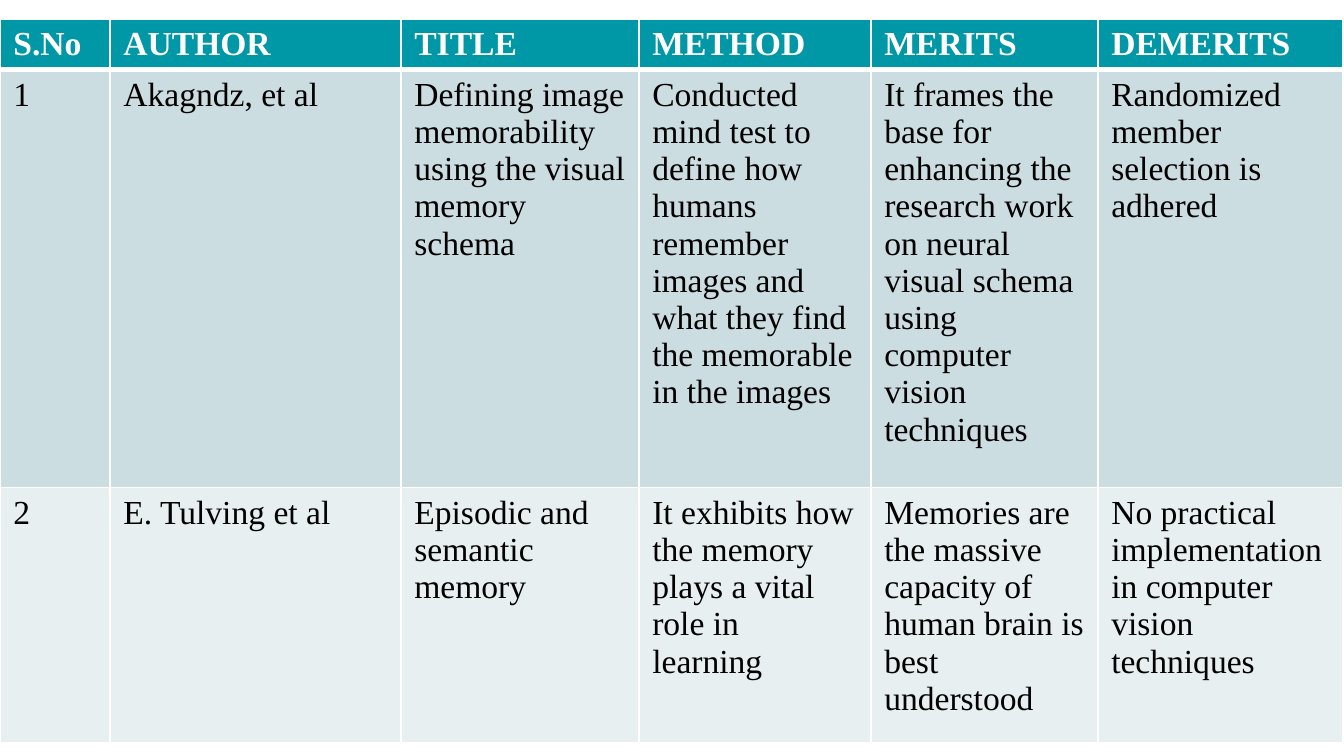
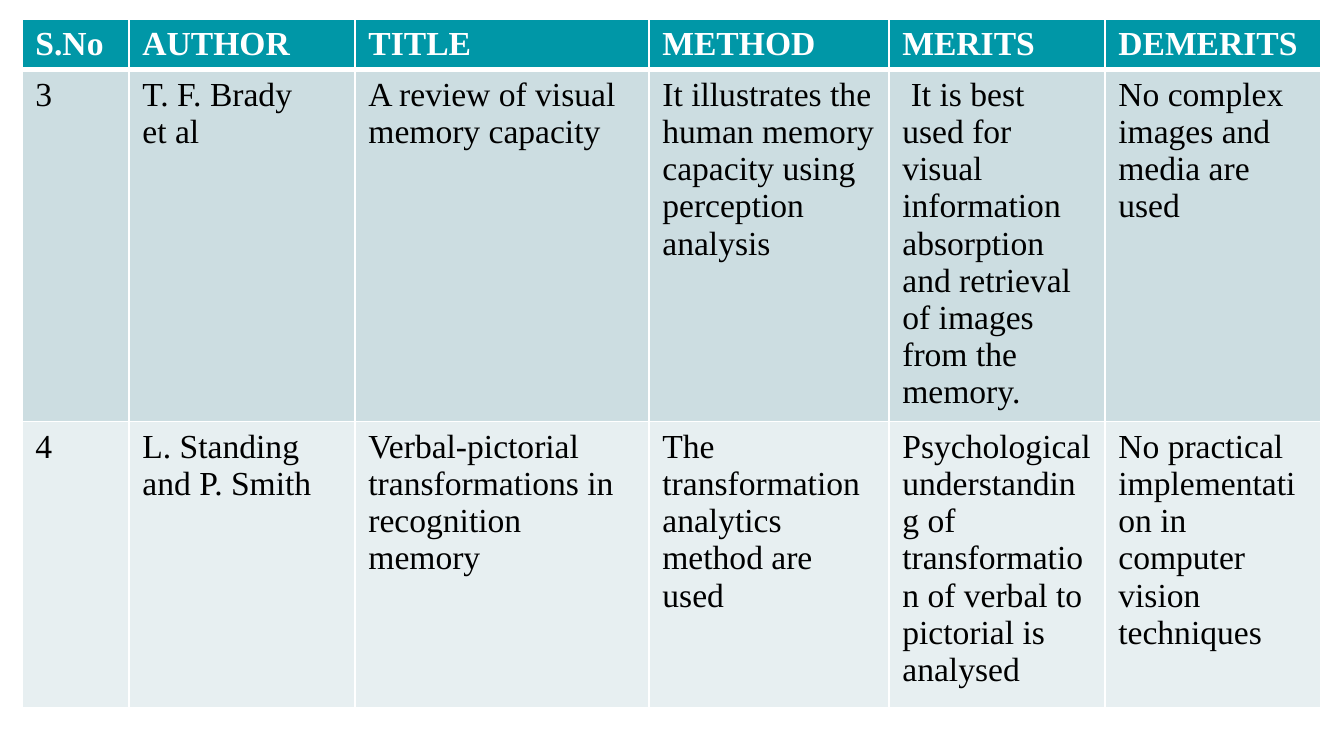
from lxml import etree
from pptx import Presentation
from pptx.dml.color import RGBColor
from pptx.oxml.ns import qn
from pptx.util import Pt

PX = 914400 / 134.4
SLIDE_SIZE = (1344, 756)
TABLE_TOP = 19
HEADER_HEIGHT = 50
FONT = "Times New Roman"
FONT_SIZE = Pt(18)
THIN, THICK = Pt(1), Pt(3)

WHITE = RGBColor(0xFF, 0xFF, 0xFF)
BLACK = RGBColor(0x00, 0x00, 0x00)
TEAL = RGBColor(0x00, 0x97, 0xA7)
BANDS = (RGBColor(0xCC, 0xDD, 0xE1), RGBColor(0xE7, 0xEF, 0xF1))

HEADINGS = ("S.No", "AUTHOR", "TITLE", "METHOD", "MERITS", "DEMERITS")

SURVEYS = [
    {
        "left": 0,
        "columns": (110, 291, 238, 232, 227, 245),
        "heights": (418, 255),
        "papers": [
            (
                "1",
                "Akagndz, et al",
                "Defining image memorability using the visual memory schema",
                "Conducted mind test to define how humans remember images "
                "and what they find the memorable in the images",
                "It frames the base for enhancing the research work on neural "
                "visual schema using computer vision techniques",
                "Randomized member selection is adhered",
            ),
            (
                "2",
                "E. Tulving et al",
                "Episodic and semantic memory",
                "It exhibits how the memory plays a vital role in learning",
                "Memories are the massive capacity of human brain is best understood",
                "No practical implementation in computer vision techniques",
            ),
        ],
    },
    {
        "left": 22,
        "columns": (107, 226, 294, 240, 216, 216),
        "heights": (352, 286),
        "papers": [
            (
                "3",
                "T. F. Brady\net al",
                "A review of visual memory capacity",
                "It illustrates the human memory capacity using perception analysis",
                " It is best used for visual information absorption and retrieval "
                "of images from the memory.",
                "No complex images and media are used",
            ),
            (
                "4",
                "L. Standing and P. Smith",
                "Verbal-pictorial transformations in recognition memory",
                "The transformation analytics method are used",
                "Psychological understanding of transformation of verbal to "
                "pictorial is analysed",
                "No practical implementation in computer vision techniques",
            ),
        ],
    },
]


def px(length):
    return round(length * PX)


def set_borders(cell, top, bottom):
    properties = cell._tc.get_or_add_tcPr()
    for side, width in (("L", THIN), ("R", THIN), ("T", top), ("B", bottom)):
        line = etree.SubElement(properties, qn(f"a:ln{side}"), w=str(width))
        fill = etree.SubElement(line, qn("a:solidFill"))
        etree.SubElement(fill, qn("a:srgbClr"), val=str(WHITE))


def fill_cell(cell, text, row):
    is_header = row == 0
    set_borders(cell, THICK if row == 1 else THIN, THICK if is_header else THIN)
    cell.fill.solid()
    cell.fill.fore_color.rgb = TEAL if is_header else BANDS[(row - 1) % 2]
    cell.text = text
    for paragraph in cell.text_frame.paragraphs:
        paragraph.font.name = FONT
        paragraph.font.size = FONT_SIZE
        paragraph.font.bold = is_header
        paragraph.font.color.rgb = WHITE if is_header else BLACK


def add_survey(slide, survey):
    rows = [HEADINGS, *survey["papers"]]
    heights = (HEADER_HEIGHT, *survey["heights"])
    widths = survey["columns"]
    table = slide.shapes.add_table(
        len(rows), len(HEADINGS),
        px(survey["left"]), px(TABLE_TOP), px(sum(widths)), px(sum(heights)),
    ).table
    for column, width in zip(table.columns, widths):
        column.width = px(width)
    for row, (texts, height) in enumerate(zip(rows, heights)):
        table.rows[row].height = px(height)
        for column, text in enumerate(texts):
            fill_cell(table.cell(row, column), text, row)


def main():
    presentation = Presentation()
    presentation.slide_width, presentation.slide_height = map(px, SLIDE_SIZE)
    blank = presentation.slide_layouts[6]
    for survey in SURVEYS:
        add_survey(presentation.slides.add_slide(blank), survey)
    presentation.save("out.pptx")


if __name__ == "__main__":
    main()
